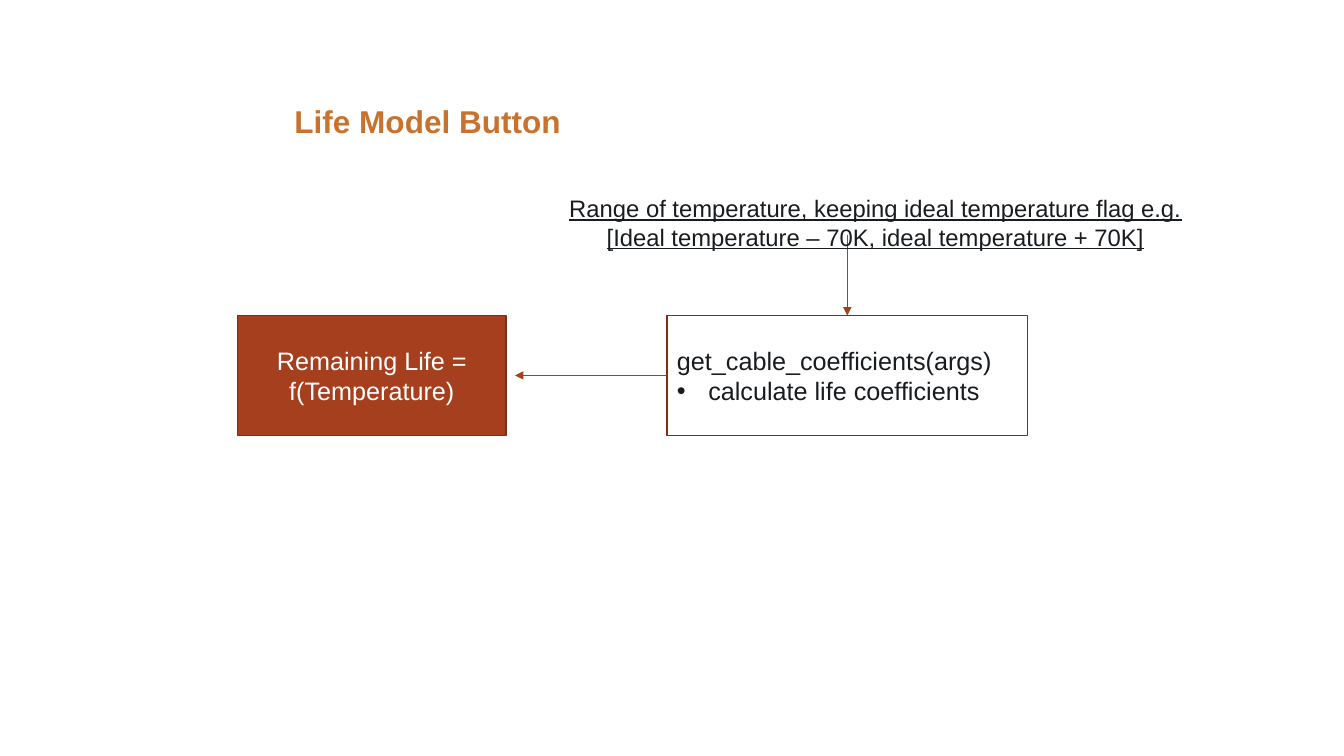
"""Build the Life Model Button flow slide."""
from lxml.etree import SubElement
from pptx import Presentation
from pptx.dml.color import RGBColor
from pptx.enum.shapes import MSO_CONNECTOR, MSO_SHAPE
from pptx.enum.text import MSO_ANCHOR, MSO_AUTO_SIZE, PP_ALIGN
from pptx.oxml.ns import qn
from pptx.util import Cm, Pt

TITLE = "Life Model Button"
RANGE = ("Range of temperature, keeping ideal temperature flag e.g. "
         "[Ideal temperature – 70K, ideal temperature + 70K]")
FUNCTION = ["get_cable_coefficients(args)", "calculate life coefficients"]
RESULT = ["Remaining Life = f(Temperature)"]
COLORS = {"title": "C8722E", "text": "191C1F", "white": "FFFFFF",
          "rust": "A63F1E", "edge": "7B2F16"}
FONT = "Arial"
BOX_TOP, BOX_H = 7.95, 3.02
FUNCTION_X, FUNCTION_W = 16.81, 9.09
RESULT_X, RESULT_W = 5.99, 6.76
RANGE_ARROW_Y, RESULT_ARROW_X = 5.92, 12.98


def rgb(name):
    return RGBColor.from_string(COLORS[name])


def add_run(p, text, size, color):
    r = p.add_run()
    r.text = text
    r.font.name, r.font.size = FONT, Pt(size)
    r.font.color.rgb = rgb(color)
    return r


def set_insets(tf, left, top, right, bottom):
    tf.margin_left, tf.margin_top = Cm(left), Cm(top)
    tf.margin_right, tf.margin_bottom = Cm(right), Cm(bottom)


def add_box(s, x, w, lines, color, align, fill=None):
    sp = s.shapes.add_shape(MSO_SHAPE.RECTANGLE, Cm(x), Cm(BOX_TOP), Cm(w), Cm(BOX_H))
    sp.shadow.inherit = False
    if fill:
        sp.fill.solid()
        sp.fill.fore_color.rgb = rgb(fill)
    else:
        sp.fill.background()
    sp.line.color.rgb = rgb("edge")
    sp.line.width = Pt(1)
    tf = sp.text_frame
    tf.word_wrap = True
    tf.vertical_anchor = MSO_ANCHOR.MIDDLE
    for i, line in enumerate(lines):
        p = tf.add_paragraph() if i else tf.paragraphs[0]
        p.alignment = align
        add_run(p, line, 18, color)
        if i:
            pPr = p._p.get_or_add_pPr()
            pPr.set("marL", str(Cm(0.79)))
            pPr.set("indent", str(-Cm(0.79)))
            SubElement(pPr, qn("a:buFont"), typeface=FONT)
            SubElement(pPr, qn("a:buChar"), char="•")


def add_arrow(s, *ends):
    c = s.shapes.add_connector(MSO_CONNECTOR.STRAIGHT, *map(Cm, ends))
    c.line.color.rgb = rgb("rust")
    c.line.width = Pt(0.5)
    SubElement(c.line._get_or_add_ln(), qn("a:tailEnd"), type="triangle")
    SubElement(c._element.spPr, qn("a:effectLst"))


def add_title(s):
    sp = s.shapes.title
    sp.left, sp.top, sp.width, sp.height = Cm(7.42), Cm(0.64), Cm(25.4), Cm(3.02)
    tf = sp.text_frame
    tf.auto_size = MSO_AUTO_SIZE.NONE
    tf.vertical_anchor = MSO_ANCHOR.BOTTOM
    set_insets(tf, 0, 0.13, 0.25, 0.13)
    p = tf.paragraphs[0]
    p.alignment, p.line_spacing = PP_ALIGN.LEFT, 0.9
    add_run(p, TITLE, 22.5, "title").font.bold = True


def add_range(s):
    tf = s.shapes.add_textbox(Cm(13.77), Cm(4.88), Cm(16.59), Cm(1.85)).text_frame
    tf.word_wrap = True
    set_insets(tf, 0, 0, 0, 0)
    p = tf.paragraphs[0]
    p.alignment = PP_ALIGN.CENTER
    p.space_before = p.space_after = Pt(6)
    add_run(p, RANGE, 17, "text").font.underline = True


def main():
    prs = Presentation()
    prs.slide_width, prs.slide_height = Cm(33.87), Cm(19.05)
    s = prs.slides.add_slide(prs.slide_layouts[5])
    add_title(s)
    add_box(s, FUNCTION_X, FUNCTION_W, FUNCTION, "text", PP_ALIGN.LEFT)
    mid_x, mid_y = FUNCTION_X + FUNCTION_W / 2, BOX_TOP + BOX_H / 2
    add_arrow(s, mid_x, RANGE_ARROW_Y, mid_x, BOX_TOP)
    add_arrow(s, FUNCTION_X, mid_y, RESULT_ARROW_X, mid_y)
    add_box(s, RESULT_X, RESULT_W, RESULT, "white", PP_ALIGN.CENTER, "rust")
    add_range(s)
    prs.save("out.pptx")


if __name__ == "__main__":
    main()
